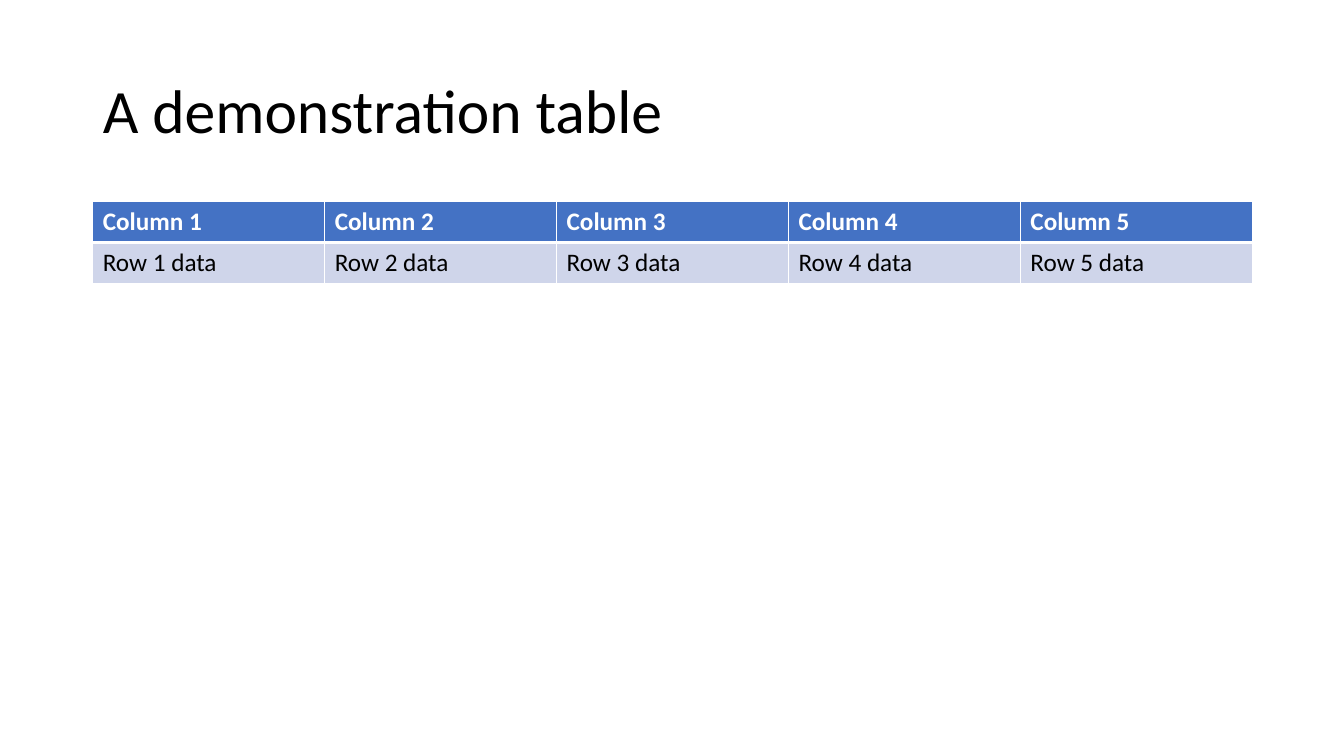
"""Build a slide with a title and a five-column demonstration table."""
from lxml.etree import SubElement
from pptx import Presentation
from pptx.dml.color import RGBColor
from pptx.enum.text import MSO_ANCHOR, PP_ALIGN
from pptx.oxml.ns import qn
from pptx.util import Inches, Pt

BLACK = RGBColor(0x00, 0x00, 0x00)
WHITE = RGBColor(0xFF, 0xFF, 0xFF)
HEADER_BLUE = RGBColor(0x44, 0x72, 0xC4)
PALE_BLUE = RGBColor(0xCF, 0xD5, 0xEA)
FONT = "Calibri"
COLUMNS = 5


def style_text(paragraph, size, color, bold):
    font = paragraph.runs[0].font
    font.name = FONT
    font.size = Pt(size)
    font.bold = bold
    font.color.rgb = color


def add_border(cell, side, width):
    line = SubElement(cell._tc.get_or_add_tcPr(), qn(f"a:ln{side}"), w=str(Pt(width)))
    SubElement(SubElement(line, qn("a:solidFill")), qn("a:srgbClr"), val=str(WHITE))


presentation = Presentation()
presentation.slide_width = Inches(13.33)
presentation.slide_height = Inches(7.5)
slide = presentation.slides.add_slide(presentation.slide_layouts[5])

title = slide.shapes.title
title.left, title.top = Inches(0.92), Inches(0.4)
title.width, title.height = Inches(11.5), Inches(1.45)
title.text_frame.text = "A demonstration table"
title.text_frame.vertical_anchor = MSO_ANCHOR.MIDDLE
heading = title.text_frame.paragraphs[0]
heading.alignment = PP_ALIGN.LEFT
heading.line_spacing = 0.9
style_text(heading, 44, BLACK, False)

table = slide.shapes.add_table(
    2, COLUMNS, Inches(0.92), Inches(2), Inches(11.5), Inches(0.81)
).table

row_styles = [
    ("Column {}", HEADER_BLUE, WHITE, True, {"L": 1, "R": 1, "T": 1, "B": 3}),
    ("Row {} data", PALE_BLUE, BLACK, False, {"L": 1, "R": 1, "T": 3, "B": 1}),
]
for row, (wording, fill, color, bold, borders) in zip(table.rows, row_styles):
    for number, cell in enumerate(row.cells, start=1):
        cell.text_frame.text = wording.format(number)
        style_text(cell.text_frame.paragraphs[0], 18, color, bold)
        for side, width in borders.items():
            add_border(cell, side, width)
        cell.fill.solid()
        cell.fill.fore_color.rgb = fill

presentation.save("out.pptx")
